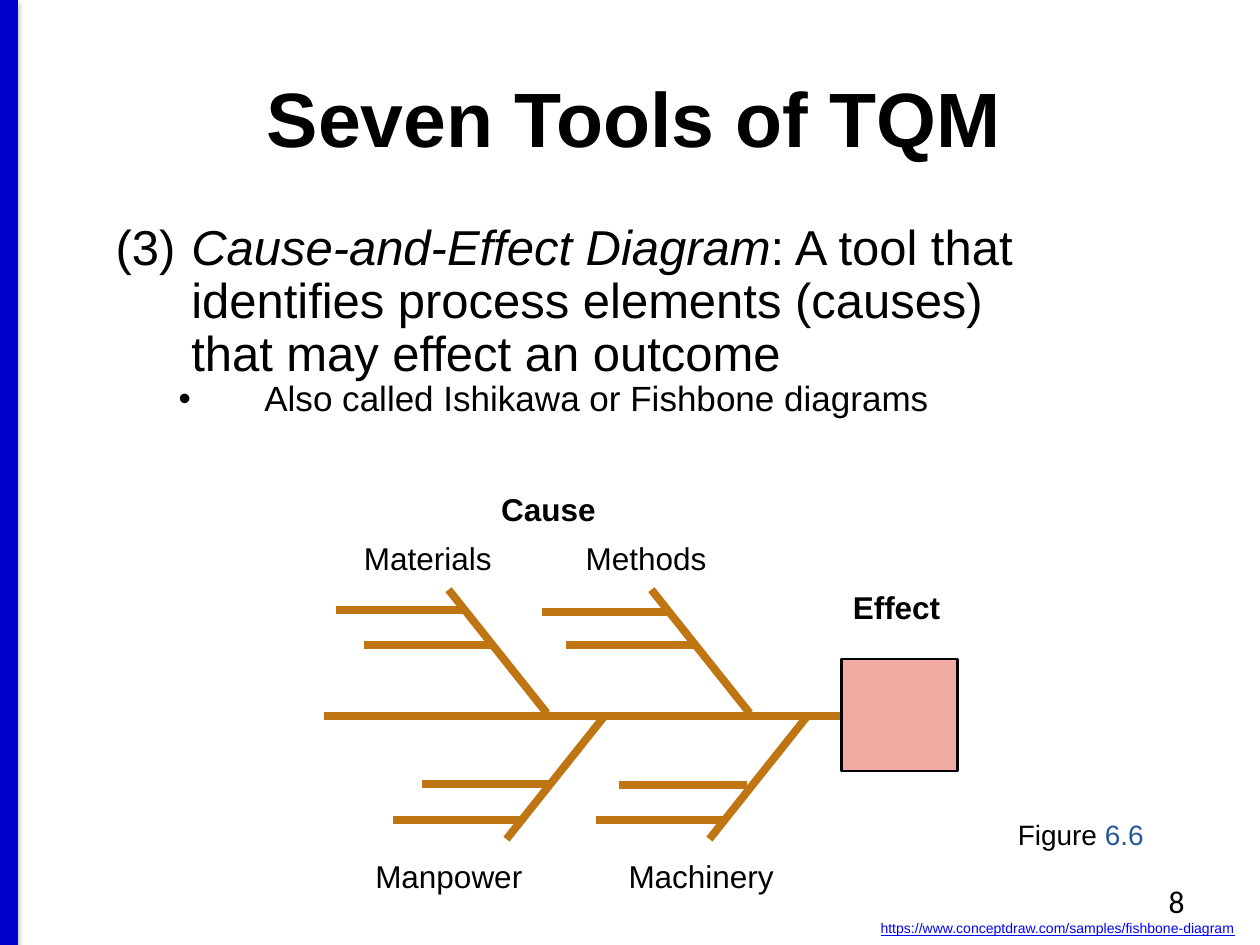
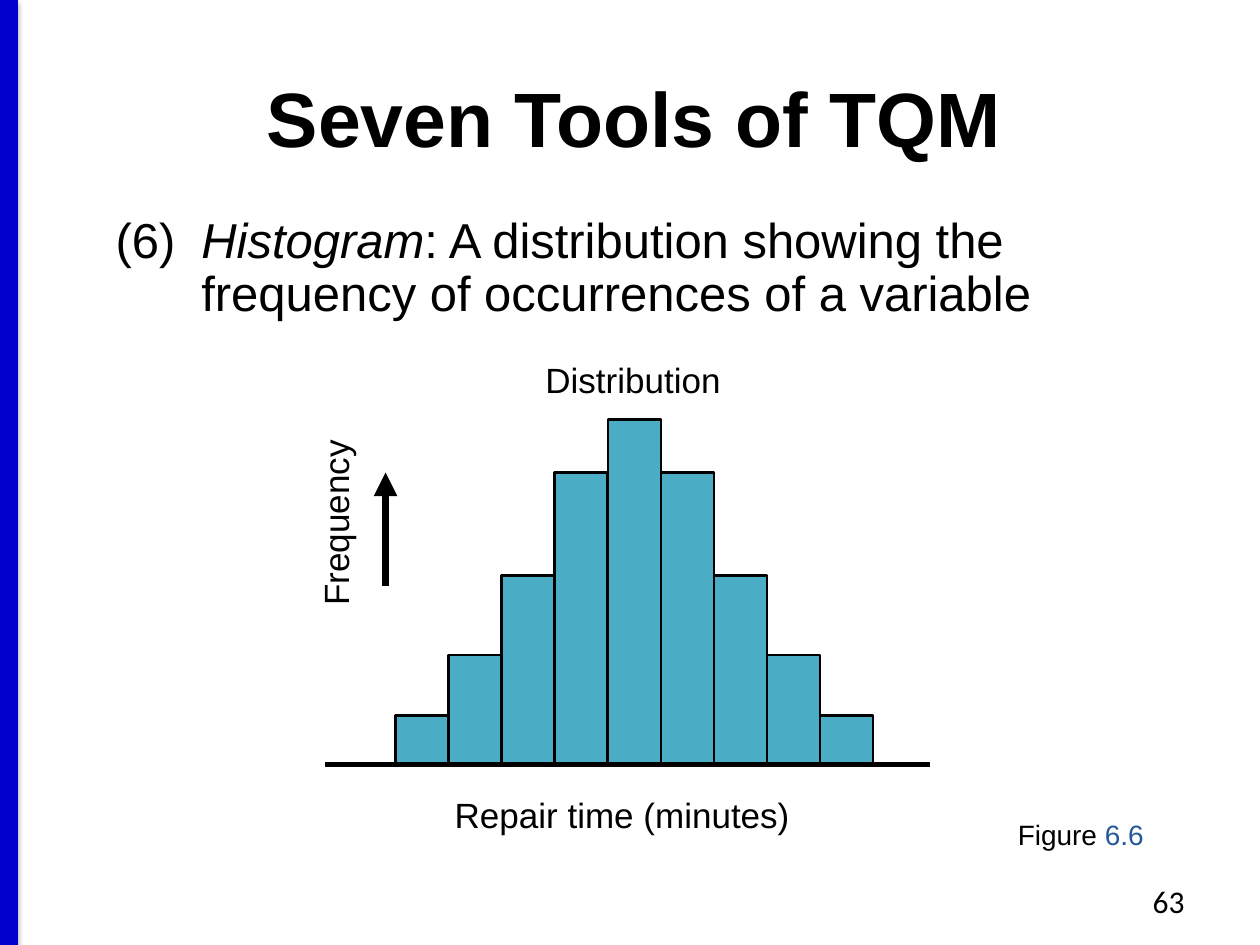
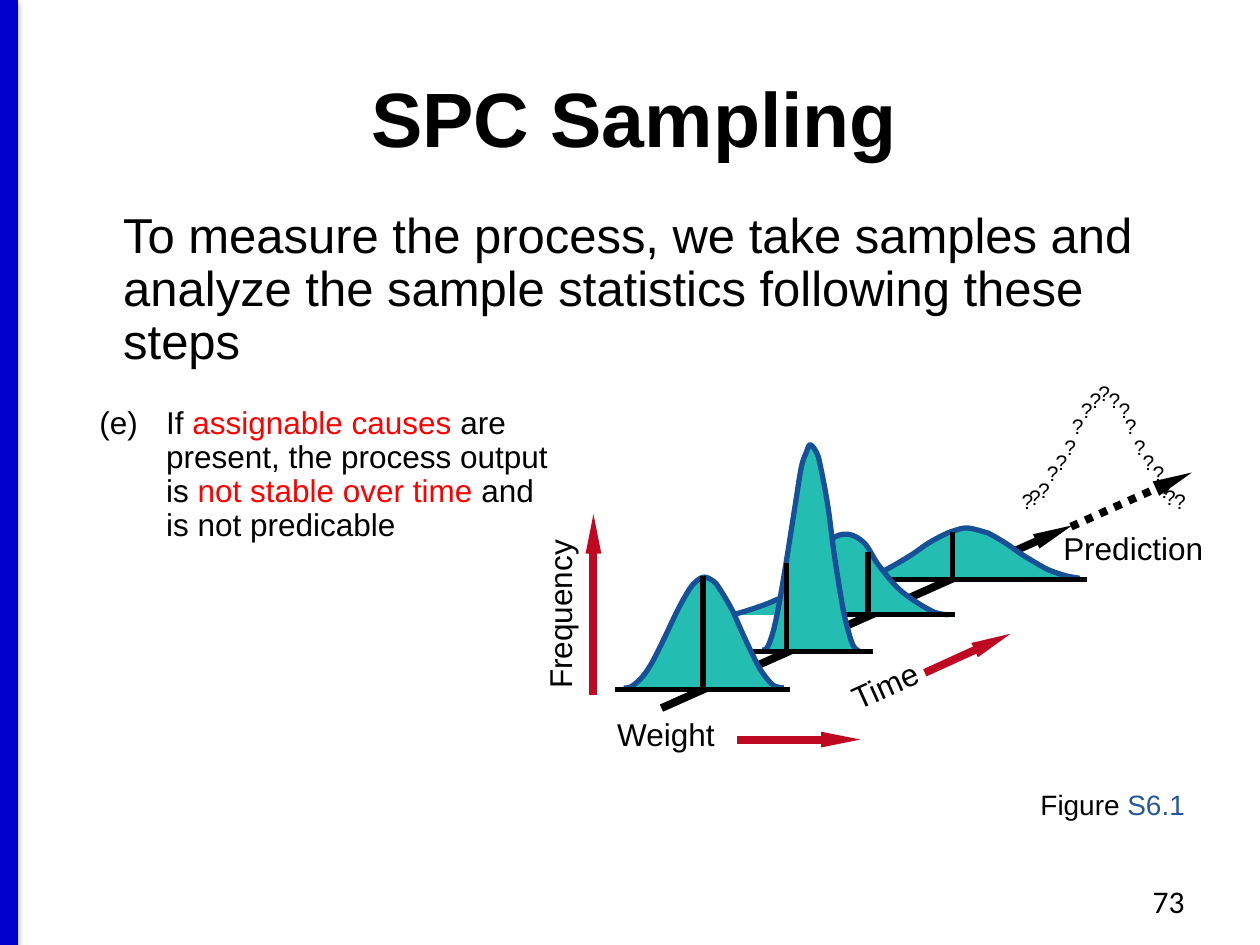
from lxml.etree import SubElement
from pptx import Presentation
from pptx.dml.color import RGBColor
from pptx.enum.dml import MSO_LINE
from pptx.enum.shapes import MSO_CONNECTOR, MSO_SHAPE
from pptx.enum.text import MSO_ANCHOR, MSO_AUTO_SIZE, PP_ALIGN
from pptx.oxml.ns import qn
from pptx.util import Inches, Pt

BLACK = RGBColor(0x00, 0x00, 0x00)
BAND_BLUE = RGBColor(0x00, 0x00, 0xCC)
LINK_BLUE = RGBColor(0x00, 0x00, 0xFF)
FIGURE_BLUE = RGBColor(0x25, 0x58, 0x98)
CURVE_BLUE = RGBColor(0x17, 0x50, 0x97)
TEAL = RGBColor(0x24, 0xBD, 0xB2)
BAR_BLUE = RGBColor(0x4B, 0xAC, 0xC6)
BONE = RGBColor(0xBF, 0x75, 0x12)
PINK = RGBColor(0xF1, 0xAB, 0xA2)
ARROW_RED = RGBColor(0xBF, 0x09, 0x22)
RED = RGBColor(0xFF, 0x00, 0x00)

MEDIUM_HEAD = {"type": "triangle", "w": "med", "len": "med"}
LONG_HEAD = {"type": "triangle", "w": "sm", "len": "lg"}


def add_text(s, box, runs, size=18, wrap=False, spacing=None, hang=0, rotation=0):
    """Add a text box; runs is a list of (text, format values)."""
    sp = s.shapes.add_textbox(*map(Inches, box))
    sp.rotation = rotation
    tf = sp.text_frame
    tf.word_wrap = wrap
    tf.auto_size = MSO_AUTO_SIZE.SHAPE_TO_FIT_TEXT
    p = tf.paragraphs[0]
    p.line_spacing = spacing
    if hang:
        p._p.get_or_add_pPr().set("marL", str(Inches(hang)))
        p._p.get_or_add_pPr().set("indent", str(-Inches(hang)))
    for text, fmt in runs:
        r = p.add_run()
        r.text = text
        values = {"name": "Arial", "size": Pt(size), **fmt}
        r.font.color.rgb = values.pop("color", BLACK)
        for name, value in values.items():
            setattr(r.font, name, value)
    return sp


def add_line(s, start, end, color, width, head=None, dash=None):
    """Add a straight line, with an arrowhead at its end if head is given."""
    line = s.shapes.add_connector(MSO_CONNECTOR.STRAIGHT, *map(Inches, (*start, *end)))
    line.line.color.rgb = color
    line.line.width = Pt(width)
    if dash:
        line.line.dash_style = dash
    sppr = line._element.spPr
    if head:
        SubElement(sppr.find(qn("a:ln")), qn("a:tailEnd"), head)
    SubElement(sppr, qn("a:effectLst"))
    return line


prs = Presentation()
prs.slide_width, prs.slide_height = Inches(10), Inches(7.5)
title_only = prs.slide_layouts[5]
fishbone, histogram, sampling = [prs.slides.add_slide(title_only) for _ in range(3)]

# Band with a soft shadow, moved to the slide master
band = add_line(fishbone, (0.07, 0), (0.07, 7.5), BAND_BLUE, 10)
shadow = SubElement(band._element.spPr.find(qn("a:effectLst")), qn("a:outerShdw"),
                    blurRad=str(Pt(3.1)), dist=str(Pt(1.6)), dir="5400000", rotWithShape="0")
shadow_color = SubElement(shadow, qn("a:srgbClr"), val="000000")
SubElement(shadow_color, qn("a:alpha"), val="38000")
prs.slide_master.element.cSld.spTree.append(band._element)

# Title, slide number and figure reference
for s, title, number, figure, figure_box, spacing in [
    (fishbone, "Seven Tools of TQM", "8", "6.6", (7.98, 6.44, 1.25, 0.37), None),
    (histogram, "Seven Tools of TQM", "63", "6.6", (7.98, 6.44, 1.25, 0.37), None),
    (sampling, "SPC Sampling", "73", "S6.1", (8.16, 6.23, 1.36, 0.35), 0.9),
]:
    sp = s.shapes.title
    sp.left, sp.top, sp.width, sp.height = map(Inches, (0.07, 0.3, 9.93, 1.25))
    sp.text_frame.text = title
    sp.text_frame.vertical_anchor = MSO_ANCHOR.MIDDLE
    p = sp.text_frame.paragraphs[0]
    p.alignment = PP_ALIGN.CENTER
    for name, value in {"name": "Arial", "size": Pt(44), "bold": True}.items():
        setattr(p.runs[0].font, name, value)
    p.runs[0].font.color.rgb = BLACK

    sp = add_text(s, (7.17, 6.95, 2.33, 0.4), [(number, {"name": "Calibri"})], wrap=True)
    sp.text_frame.auto_size = MSO_AUTO_SIZE.NONE
    sp.text_frame.paragraphs[0].alignment = PP_ALIGN.RIGHT
    add_text(s, figure_box, [("Figure ", {}), (figure, {"color": FIGURE_BLUE})],
             size=16, spacing=spacing)

# Slide 1: definition and its bullet
s = fishbone
sp = add_text(s, (0.82, 1.72, 7.4, 1.68), [
    ("(3)\t", {}),
    ("Cause-and-Effect Diagram", {"italic": True}),
    (": A tool that identifies process elements (causes) that may effect an outcome", {}),
], size=28, wrap=True, spacing=0.9, hang=0.6)
p = sp.text_frame.add_paragraph()
p.level = 1
p.line_spacing = 0.9
ppr = p._p.get_or_add_pPr()
ppr.set("marL", str(Inches(1.18)))
ppr.set("indent", str(-Inches(0.68)))
SubElement(ppr, qn("a:buFont"), typeface="Arial")
SubElement(ppr, qn("a:buChar"), char="•")
r = p.add_run()
r.text = "Also called Ishikawa or Fishbone diagrams"
r.font.name, r.font.size = "Arial", Pt(20)
r.font.color.rgb = BLACK

# Fishbone labels
for label, x, y, width, bold in [
    ("Cause", 3.88, 3.84, 0.96, True),
    ("Materials", 2.79, 4.23, 1.23, False),
    ("Methods", 4.55, 4.23, 1.17, False),
    ("Manpower", 2.88, 6.75, 1.38, False),
    ("Machinery", 4.89, 6.75, 1.37, False),
    ("Effect", 6.67, 4.62, 0.9, True),
]:
    add_text(s, (x, y, width, 0.4), [(label, {"bold": bold})])

# Spine, slanted bones, effect box and twigs
SPINE_Y = 5.68
add_line(s, (2.57, SPINE_Y), (6.78, SPINE_Y), BONE, 4.5)
for x, y, joint_y in [(5.17, 4.68, 5.66), (3.56, 4.68, 5.66),
                      (4.02, 6.66, SPINE_Y), (5.63, 6.66, SPINE_Y)]:
    add_line(s, (x, y), (x + 0.78, joint_y), BONE, 4.5)
effect = s.shapes.add_shape(MSO_SHAPE.RECTANGLE, *map(Inches, (6.68, 5.23, 0.92, 0.89)))
effect.shadow.inherit = False
effect.fill.solid()
effect.fill.fore_color.rgb = PINK
effect.line.color.rgb = BLACK
effect.line.width = Pt(1.5)
for x, y in [(2.67, 4.84), (4.73, 6.51), (4.91, 6.23), (4.3, 4.86), (4.49, 5.12),
             (3.5, SPINE_Y), (3.35, 6.22), (3.12, 6.51), (2.89, 5.12)]:
    add_line(s, (x, y), (x + 1.02, y), BONE, 4.5)

add_text(s, (6.89, 7.25, 3.05, 0.24),
         [("https://www.conceptdraw.com/samples/fishbone-diagram",
           {"color": LINK_BLUE, "underline": True})], size=8, wrap=True)

# Slide 2: definition and histogram labels
s = histogram
add_text(s, (0.82, 1.67, 7.96, 0.96), [
    ("(6)\t", {}),
    ("Histogram", {"italic": True}),
    (": A distribution showing the frequency of occurrences of a variable", {}),
], size=28, wrap=True, spacing=0.9, hang=0.68)
for label, x, y, width, rotation in [
    ("Distribution", 4.23, 2.8, 1.6, 0),
    ("Repair time (minutes)", 3.51, 6.25, 2.88, 0),
    ("Frequency", 1.9, 3.92, 1.53, 270),
]:
    add_text(s, (x, y, width, 0.44), [(label, {})], size=20, rotation=rotation)
add_line(s, (3.06, 4.65), (3.06, 3.75), BLACK, 4.5, MEDIUM_HEAD)

# Symmetric bars standing on the axis
AXIS_Y = 6.07
rising = [0.39, 0.87, 1.5, 2.32]
bar_heights = rising + [2.74] + rising[::-1]
bar_width = (6.93 - 3.14) / len(bar_heights)
for i, height in enumerate(bar_heights):
    bar = s.shapes.add_shape(MSO_SHAPE.RECTANGLE, Inches(3.14 + i * bar_width),
                             Inches(AXIS_Y - height), Inches(bar_width), Inches(height))
    bar.shadow.inherit = False
    bar.fill.solid()
    bar.fill.fore_color.rgb = BAR_BLUE
    bar.line.color.rgb = BLACK
    bar.line.width = Pt(1.5)
add_line(s, (2.58, AXIS_Y), (7.38, AXIS_Y), BLACK, 3)

# Slide 3: introduction and step
s = sampling
add_text(s, (0.88, 1.63, 8.24, 1.38), [
    ("To measure the process, we take samples and analyze the sample statistics "
     "following these steps", {}),
], size=28, wrap=True, spacing=0.9)
add_text(s, (0.69, 3.18, 3.78, 1.2), [
    ("(e)\tIf ", {}),
    ("assignable causes ", {"color": RED}),
    ("are present, the process output is ", {}),
    ("not stable over time ", {"color": RED}),
    ("and is not predicable", {}),
], wrap=True, spacing=0.9, hang=0.53)

# Time axis, then the bells from back to front:
# curve points, top of the centre line, ends of the base line, base height
add_line(s, (5.25, 5.62), (8.51, 4.17), BLACK, 4.5, LONG_HEAD)
bells = [
    ([(6.77, 4.58), (6.86, 4.58), (6.99, 4.54), (7.09, 4.49), (7.24, 4.4), (7.37, 4.31),
      (7.5, 4.24), (7.58, 4.21), (7.67, 4.19), (7.77, 4.21), (7.84, 4.23), (7.98, 4.31),
      (8.11, 4.4), (8.26, 4.49), (8.34, 4.53), (8.46, 4.57), (8.57, 4.59)],
     (7.56, 4.22), (6.85, 8.63), 4.6),
    ([(5.77, 4.88), (5.85, 4.87), (6.01, 4.82), (6.14, 4.77), (6.31, 4.68), (6.49, 4.44),
      (6.6, 4.28), (6.73, 4.24), (6.86, 4.31), (6.97, 4.48), (7.12, 4.66), (7.26, 4.77),
      (7.42, 4.86), (7.53, 4.88)],
     (6.89, 4.38), (6.19, 7.58), 4.88),
    ([(6.05, 5.16), (6.09, 5.14), (6.14, 5), (6.19, 4.76), (6.25, 4.4), (6.31, 4.02),
      (6.36, 3.71), (6.4, 3.59), (6.43, 3.53), (6.48, 3.59), (6.51, 3.69), (6.57, 4.01),
      (6.62, 4.39), (6.68, 4.77), (6.72, 4.96), (6.77, 5.12), (6.82, 5.17)],
     (6.24, 4.47), (5.53, 6.93), 5.17),
    ([(4.95, 5.46), (5.01, 5.45), (5.1, 5.37), (5.18, 5.25), (5.28, 5.05), (5.38, 4.84),
      (5.47, 4.68), (5.53, 4.61), (5.59, 4.58), (5.66, 4.61), (5.71, 4.67), (5.81, 4.84),
      (5.9, 5.04), (6, 5.25), (6.06, 5.35), (6.14, 5.44), (6.22, 5.46)],
     (5.58, 4.57), (4.88, 6.27), 5.47),
]
for points, peak, (base_left, base_right), base_y in bells:
    builder = s.shapes.build_freeform(*map(Inches, points[0]))
    builder.add_line_segments([tuple(map(Inches, point)) for point in points[1:]], close=False)
    bell = builder.convert_to_shape()
    bell.shadow.inherit = False
    bell.fill.solid()
    bell.fill.fore_color.rgb = TEAL
    bell.line.color.rgb = CURVE_BLUE
    bell.line.width = Pt(3)

    # Turn each straight segment into a smooth Bézier curve
    outline = next(bell._element.iter(qn("a:path")))
    knots = [(int(pt.get("x")), int(pt.get("y"))) for pt in outline.iter(qn("a:pt"))]
    for segment in outline.findall(qn("a:lnTo")):
        outline.remove(segment)
    padded = [knots[0], *knots, knots[-1]]
    for before, start, end, after in zip(padded, padded[1:], padded[2:], padded[3:]):
        leave = [b + (c - a) / 6 for a, b, c in zip(before, start, end)]
        arrive = [c - (d - b) / 6 for b, c, d in zip(start, end, after)]
        curve = SubElement(outline, qn("a:cubicBezTo"))
        for x, y in (leave, arrive, end):
            SubElement(curve, qn("a:pt"), x=str(round(x)), y=str(round(y)))

    add_line(s, peak, (peak[0], base_y), BLACK, 3)
    add_line(s, (base_left, base_y), (base_right, base_y), BLACK, 3)

# Axis names with their arrows
for label, box, rotation, start, end in [
    ("Weight", (4.8, 5.66, 0.98, 0.38), 0, (5.85, 5.87), (6.83, 5.87)),
    ("Time", (6.66, 5.27, 0.75, 0.38), 335.8, (7.34, 5.34), (8.02, 5.03)),
    ("Frequency", (3.77, 4.68, 1.39, 0.38), 270, (4.71, 5.52), (4.71, 4.08)),
]:
    add_text(s, box, [(label, {})], spacing=0.9, rotation=rotation)
    add_line(s, start, end, ARROW_RED, 4.5, LONG_HEAD)

# Prediction: dotted arrow and a bell of question marks
add_text(s, (8.34, 4.15, 1.32, 0.4), [("Prediction", {})])
add_line(s, (8.5, 4.18), (9.46, 3.75), BLACK, 4.5, LONG_HEAD, MSO_LINE.ROUND_DOT)
heights = [3.03, 3.11, 3.23, 3.4, 3.52, 3.61, 3.74, 3.8, 3.83]
left_side = [8.55, 8.48, 8.41, 8.35, 8.28, 8.21, 8.14, 8.07, 8.01]
right_side = [8.7, 8.78, 8.83, 8.9, 8.97, 9.05, 9.1, 9.14, 9.22]
marks = [(8.62, 2.97), *zip(left_side, heights), *zip(right_side, heights)]
for x, y in marks:
    add_text(s, (x, y, 0.3, 0.3), [("?", {})], size=12)

prs.save("out.pptx")
